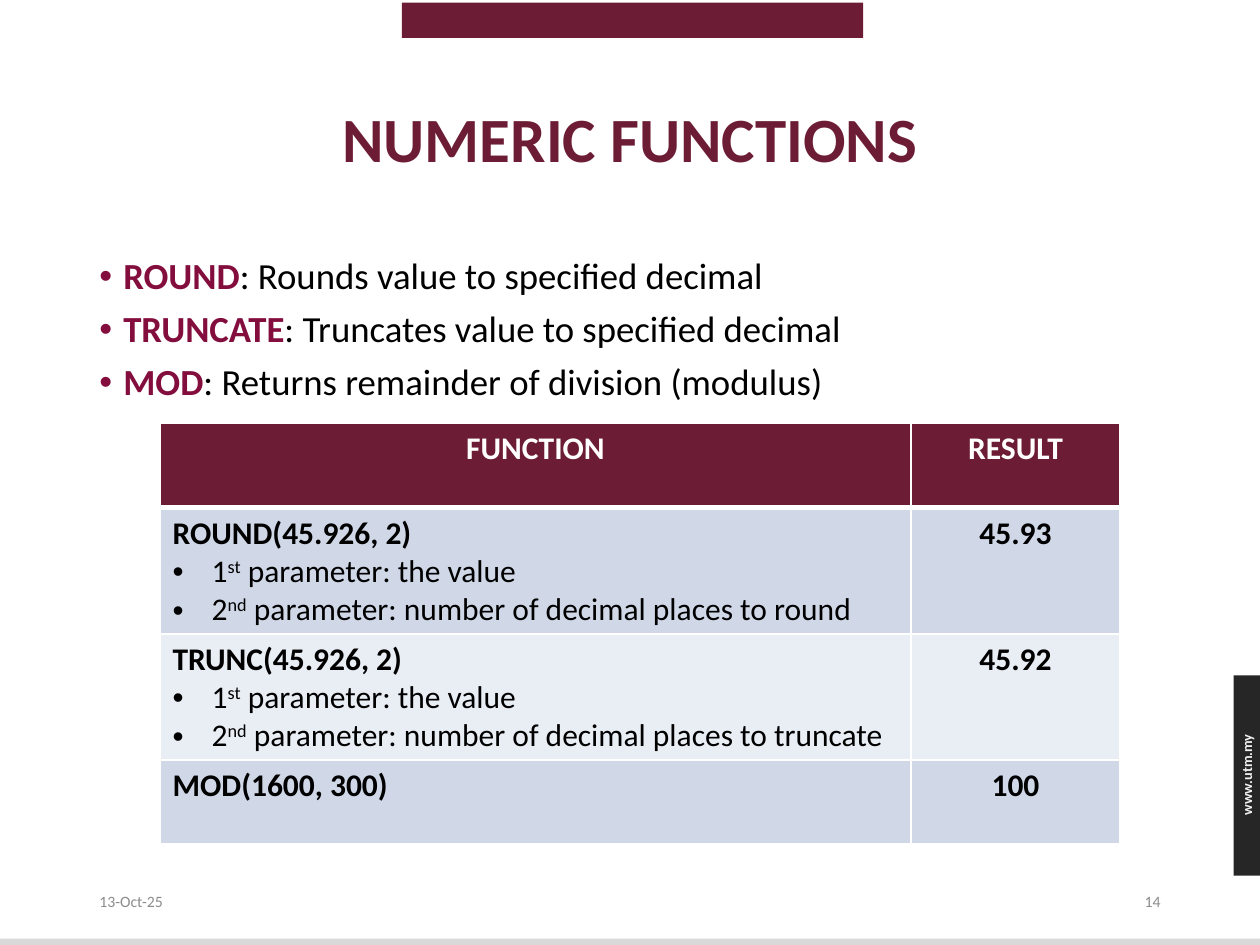
"""Builds the slide on numeric functions with its table of examples."""
from dataclasses import dataclass
from typing import Optional

import pptx
import pptx.dml.color
import pptx.enum.shapes
import pptx.enum.text
import pptx.oxml
import pptx.oxml.ns
import pptx.util
from pptx.util import Inches

COLORS = {
    "maroon": "6C1D35", "term": "830E3E", "black": "000000", "white": "FFFFFF",
    "pale": "F2F2F2", "footer": "8C8C8C", "rule": "D9D9D9", "tab": "262626",
    "band_dark": "D0D8E8", "band_light": "E9EDF4",
}
ALIGN = pptx.enum.text.PP_ALIGN
ANCHOR = pptx.enum.text.MSO_ANCHOR


@dataclass
class Run:
    text: str
    bold: Optional[bool] = None
    color: Optional[str] = None
    superscript: bool = False


@dataclass
class Line:
    runs: list[Run]
    size: float
    color: str = "black"
    bold: Optional[bool] = None
    align: pptx.enum.text.PP_ALIGN = ALIGN.LEFT
    indent: float = 0
    spacing: Optional[float] = None
    before: float = 0


@dataclass
class Bar:
    left: float
    top: float
    width: float
    height: float
    color: str


@dataclass
class Example:
    call: str
    result: str
    fill: str
    parameters: tuple[str, ...] = ()


BARS = [
    Bar(3.19, 0.02, 3.66, 0.28, "maroon"),
    Bar(0, 7.45, 10.05, 0.12, "rule"),
    Bar(9.79, 5.36, 0.21, 1.59, "tab"),
]
DEFINITIONS = {
    "ROUND": "Rounds value to specified decimal",
    "TRUNCATE": "Truncates value to specified decimal",
    "MOD": "Returns remainder of division (modulus)",
}
ORDINALS = [("1", "st"), ("2", "nd")]
EXAMPLES = [
    Example("ROUND(45.926, 2)", "45.93", "band_dark",
            ("the value", "number of decimal places to round")),
    Example("TRUNC(45.926, 2)", "45.92", "band_light",
            ("the value", "number of decimal places to truncate")),
    Example("MOD(1600, 300)", "100", "band_dark"),
]


def rgb(name: str) -> pptx.dml.color.RGBColor:
    """Return a named colour."""
    return pptx.dml.color.RGBColor.from_string(COLORS[name])


def add_bullet(paragraph, indent: float) -> None:
    """Give a paragraph a hanging bullet."""
    properties = paragraph._p.get_or_add_pPr()
    properties.set("marL", str(Inches(indent)))
    properties.set("indent", str(-Inches(indent)))
    for tag, attribute, value in (("buFont", "typeface", "Arial"), ("buChar", "char", "•")):
        element = pptx.oxml.parse_xml(
            f'<a:{tag} {pptx.oxml.ns.nsdecls("a")} {attribute}="{value}"/>')
        properties.append(element)


def write_lines(text_frame, lines: list[Line]) -> None:
    """Write formatted paragraphs into a text frame."""
    for index, line in enumerate(lines):
        paragraph = text_frame.add_paragraph() if index else text_frame.paragraphs[0]
        if line.indent:
            add_bullet(paragraph, line.indent)
        paragraph.alignment = line.align
        if line.spacing:
            paragraph.line_spacing = line.spacing
        if index and line.before:
            paragraph.space_before = pptx.util.Pt(line.before)
        paragraph.font.name = "Calibri"
        paragraph.font.size = pptx.util.Pt(line.size)
        paragraph.font.bold = line.bold
        paragraph.font.color.rgb = rgb(line.color)
        for item in line.runs:
            run = paragraph.add_run()
            run.text = item.text
            if item.bold is not None:
                run.font.bold = item.bold
            if item.color:
                run.font.color.rgb = rgb(item.color)
            if item.superscript:
                run._r.get_or_add_rPr().set("baseline", "30000")


def add_text(slide, left: float, top: float, width: float, height: float,
             lines: list[Line], anchor=ANCHOR.MIDDLE, rotation: float = 0) -> None:
    """Add a wrapped text box."""
    box = slide.shapes.add_textbox(Inches(left), Inches(top), Inches(width), Inches(height))
    box.rotation = rotation
    box.text_frame.word_wrap = True
    box.text_frame.vertical_anchor = anchor
    write_lines(box.text_frame, lines)


def add_bar(slide, bar: Bar) -> None:
    """Add a plain filled rectangle."""
    shape = slide.shapes.add_shape(
        pptx.enum.shapes.MSO_SHAPE.RECTANGLE,
        Inches(bar.left), Inches(bar.top), Inches(bar.width), Inches(bar.height))
    shape.shadow.inherit = False
    shape.fill.solid()
    shape.fill.fore_color.rgb = rgb(bar.color)
    shape.line.fill.background()


def fill_cell(cell, lines: list[Line], fill: str, top: float, bottom: float) -> None:
    """Write a cell and set its white borders and fill."""
    write_lines(cell.text_frame, lines)
    properties = cell._tc.get_or_add_tcPr()
    for side, width in (("L", 1), ("R", 1), ("T", top), ("B", bottom)):
        properties.append(pptx.oxml.parse_xml(
            f'<a:ln{side} {pptx.oxml.ns.nsdecls("a")} w="{pptx.util.Pt(width)}"><a:solidFill>'
            f'<a:srgbClr val="{COLORS["white"]}"/></a:solidFill></a:ln{side}>'))
    cell.fill.solid()
    cell.fill.fore_color.rgb = rgb(fill)


def example_lines(example: Example) -> list[Line]:
    """Return the call and its numbered parameters."""
    lines = [Line([Run(example.call)], 18, bold=True)]
    for (number, suffix), meaning in zip(ORDINALS, example.parameters):
        runs = [Run(number), Run(suffix, superscript=True), Run(f" parameter: {meaning}")]
        lines.append(Line(runs, 18, bold=False, indent=0.31))
    return lines


def add_examples(slide) -> None:
    """Add the table of calls and results."""
    count = len(EXAMPLES) + 1
    table = slide.shapes.add_table(
        count, 2, Inches(1.27), Inches(3.36), Inches(7.62), Inches(0.67 * count)).table
    table.horz_banding = False
    for column, width in zip(table.columns, (5.96, 1.66)):
        column.width = Inches(width)
    for index, heading in enumerate(("FUNCTION", "RESULT")):
        line = Line([Run(heading)], 18, "white", True, ALIGN.CENTER)
        fill_cell(table.cell(0, index), [line], "maroon", 1, 3)
    for row, example in enumerate(EXAMPLES, start=1):
        result = Line([Run(example.result)], 18, bold=True, align=ALIGN.CENTER)
        top = 3 if row == 1 else 1
        for column, lines in enumerate((example_lines(example), [result])):
            fill_cell(table.cell(row, column), lines, example.fill, top, 1)


def main() -> None:
    """Build and save the presentation."""
    presentation = pptx.Presentation()
    presentation.slide_width, presentation.slide_height = Inches(10), Inches(7.5)
    slide = presentation.slides.add_slide(presentation.slide_layouts[6])
    for bar in BARS:
        add_bar(slide, bar)
    add_text(slide, 9.14, 6.03, 1.51, 0.24,
             [Line([Run("www.utm.my")], 8.2, "pale", True, ALIGN.CENTER)], ANCHOR.TOP, 270)
    add_text(slide, 0.69, 0.4, 8.62, 1.45,
             [Line([Run("NUMERIC FUNCTIONS")], 36, "maroon", True, ALIGN.CENTER, spacing=0.9)])
    definitions = [
        Line([Run(term, True, "term"), Run(f": {meaning}", False)], 21,
             indent=0.19, spacing=0.9, before=7.5)
        for term, meaning in DEFINITIONS.items()]
    add_text(slide, 0.69, 2, 8.62, 4.76, definitions, ANCHOR.TOP)
    add_text(slide, 0.69, 6.95, 2.25, 0.4, [Line([Run("13-Oct-25")], 9, "footer")])
    add_text(slide, 7.06, 6.95, 2.25, 0.4,
             [Line([Run("14")], 9, "footer", align=ALIGN.RIGHT)])
    add_examples(slide)
    presentation.save("out.pptx")


if __name__ == "__main__":
    main()
